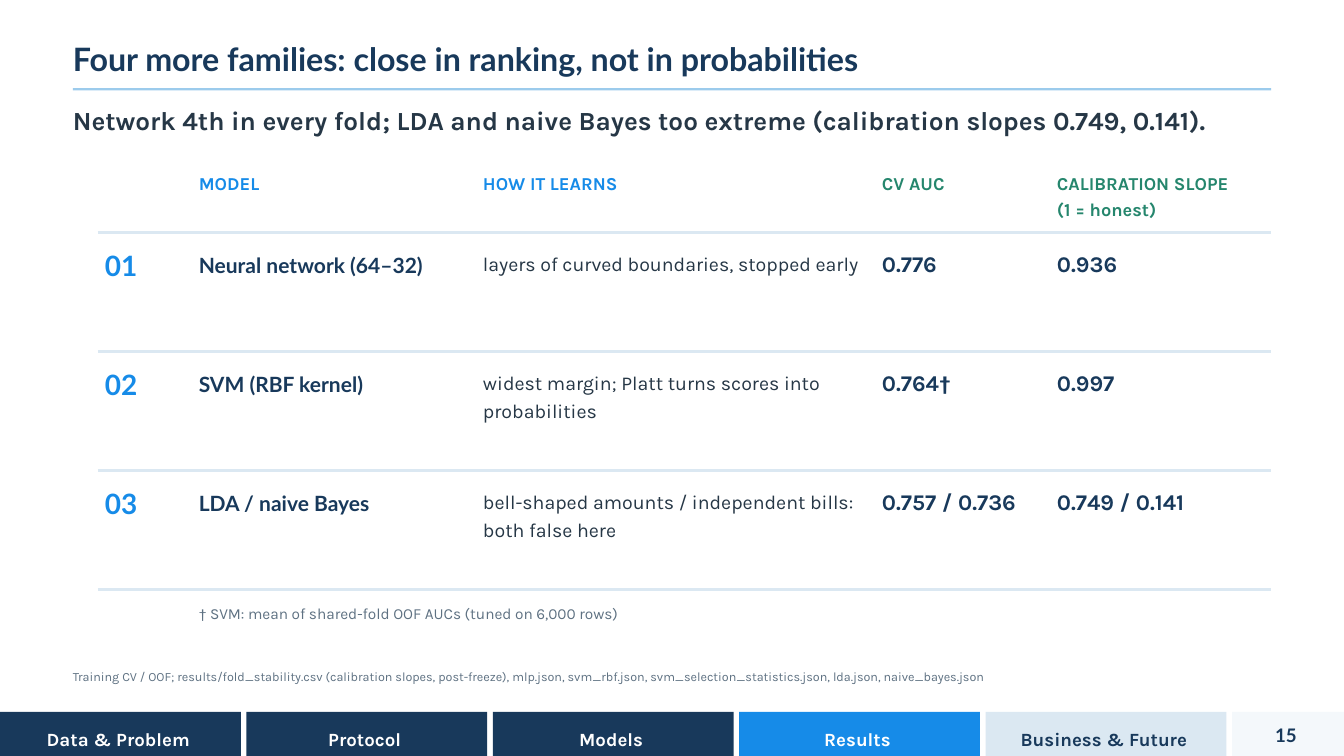
import pptx
import pptx.dml.color
import pptx.enum.shapes
import pptx.enum.text
import pptx.oxml
import pptx.oxml.ns
import pptx.util

RGB = pptx.dml.color.RGBColor
NAVY = RGB(0x18, 0x39, 0x5B)
BLUE = RGB(0x16, 0x8B, 0xE8)
SKY = RGB(0x9C, 0xCB, 0xEC)
PALE = RGB(0xDB, 0xE8, 0xF2)
MIST = RGB(0xF4, 0xF8, 0xFB)
GREEN = RGB(0x25, 0x86, 0x6D)
INK = RGB(0x26, 0x37, 0x46)
GREY = RGB(0x5E, 0x71, 0x82)
WHITE = RGB(0xFF, 0xFF, 0xFF)

LEFT = pptx.enum.text.PP_ALIGN.LEFT
CENTER = pptx.enum.text.PP_ALIGN.CENTER
RULE_PT = 3.4

# heading, heading colour, width, top margin of body text, body format
COLUMNS = [
    ("", BLUE, 134, 15, dict(size=30, font="Lato", color=BLUE, bold=True, line=42)),
    ("MODEL", BLUE, 406, 23, dict(size=22.5, font="Lato", color=NAVY, bold=True, line=31.5)),
    ("HOW IT LEARNS", BLUE, 570, 24, dict(size=21, color=INK, line=29.4)),
    ("CV AUC", GREEN, 250, 20, dict(size=24, color=NAVY, bold=True, line=33.6)),
    ("CALIBRATION SLOPE\n(1 = honest)", GREEN, 316, 20,
     dict(size=24, color=NAVY, bold=True, line=33.6)),
]
ROWS = [
    ("01", "Neural network (64–32)", "layers of curved boundaries, stopped early",
     "0.776", "0.936"),
    ("02", "SVM (RBF kernel)", "widest margin; Platt turns scores into probabilities",
     "0.764†", "0.997"),
    ("03", "LDA / naive Bayes", "bell-shaped amounts / independent bills: both false here",
     "0.757 / 0.736", "0.749 / 0.141"),
]
SECTIONS = [
    ("Data & Problem", NAVY, WHITE),
    ("Protocol", NAVY, WHITE),
    ("Models", NAVY, WHITE),
    ("Results", BLUE, WHITE),
    ("Business & Future", PALE, NAVY),
]


def px(n):
    return pptx.util.Emu(n * 9525)


def write(tf, text, *, size, color, line, font="Karla", bold=False, align=LEFT):
    """Fill a text frame, one paragraph per line of text."""
    for i, part in enumerate(text.split("\n")):
        p = tf.add_paragraph() if i else tf.paragraphs[0]
        p.alignment = align
        p.line_spacing = pptx.util.Pt(line)
        r = p.add_run()
        r.text = part
        r.font.name = font
        r.font.size = pptx.util.Pt(size)
        r.font.bold = bold
        r.font.color.rgb = color


def set_margins(obj, left=0, top=0, right=0, bottom=0):
    obj.margin_left, obj.margin_top = px(left), px(top)
    obj.margin_right, obj.margin_bottom = px(right), px(bottom)


def add_text(s, x, y, w, h, text, **fmt):
    tf = s.shapes.add_textbox(px(x), px(y), px(w), px(h)).text_frame
    tf.word_wrap = True
    set_margins(tf)
    write(tf, text, **fmt)


def add_box(s, x, y, w, h, fill):
    sp = s.shapes.add_shape(pptx.enum.shapes.MSO_SHAPE.RECTANGLE,
                            px(x), px(y), px(w), px(h))
    sp.shadow.inherit = False
    sp.fill.solid()
    sp.fill.fore_color.rgb = fill
    sp.line.fill.background()
    return sp


def set_borders(cell, top, bottom):
    """Draw only the horizontal rules asked for."""
    tc_pr = cell._tc.get_or_add_tcPr()
    ns = pptx.oxml.ns.nsdecls("a")
    for side, shown in (("L", False), ("R", False), ("T", top), ("B", bottom)):
        paint = (f'<a:solidFill><a:srgbClr val="{PALE}"/></a:solidFill>'
                 if shown else "<a:noFill/>")
        width = pptx.util.Pt(RULE_PT) if shown else 0
        tc_pr.append(pptx.oxml.parse_xml(
            f'<a:ln{side} {ns} w="{width}">{paint}</a:ln{side}>'))


def heading(s, x, y, w):
    add_text(s, x, y, w, 51, "Four more families: close in ranking, not in probabilities",
             size=34.5, font="Lato", color=NAVY, bold=True, line=37.3)
    add_box(s, x, y + 64, w, 3, SKY)
    add_text(s, x, y + 85, w, 45,
             "Network 4th in every fold; LDA and naive Bayes too extreme "
             "(calibration slopes 0.749, 0.141).",
             size=28, color=INK, bold=True, line=35)


def model_table(s, x, y, w, head_h, row_h):
    h = head_h + row_h * len(ROWS)
    tbl = s.shapes.add_table(len(ROWS) + 1, len(COLUMNS),
                             px(x), px(y), px(w), px(h)).table
    tbl.first_row = tbl.horz_banding = False
    for i, row in enumerate(tbl.rows):
        row.height = px(row_h if i else head_h)
    for c, (title, title_color, width, top, body) in enumerate(COLUMNS):
        tbl.columns[c].width = px(width)
        head = dict(size=19.5, color=title_color, bold=True, line=27.3)
        for i, text in enumerate([title] + [row[c] for row in ROWS]):
            cell = tbl.cell(i, c)
            set_borders(cell, top=i > 0, bottom=True)
            cell.fill.background()
            set_margins(cell, left=10, top=top if i else 11, right=10)
            if text:
                write(cell.text_frame, text, **(body if i else head))
    note_x = x + COLUMNS[0][2] + 10
    add_text(s, note_x, y + h + 16, x + w - note_x, 30,
             "† SVM: mean of shared-fold OOF AUCs (tuned on 6,000 rows)",
             size=16.5, color=GREY, line=23.1)


def source_line(s, x, y, w):
    add_text(s, x, y, w, 24,
             "Training CV / OOF; results/fold_stability.csv (calibration slopes, "
             "post-freeze), mlp.json, svm_rbf.json, svm_selection_statistics.json, "
             "lda.json, naive_bayes.json",
             size=13.5, color=GREY, line=18.9)


def footer(s, x, y, w, h):
    """Section tabs, with the page number in what is left of the width."""
    tab_w, gap = 344, 8
    page_x = len(SECTIONS) * (tab_w + gap)
    tabs = [(i * (tab_w + gap), tab_w, text, fill, color, "Karla", 17)
            for i, (text, fill, color) in enumerate(SECTIONS)]
    tabs.append((page_x, w - page_x, "15", MIST, NAVY, "Lato", 11))
    for dx, width, text, fill, color, font, top in tabs:
        tf = add_box(s, x + dx, y, width, h, fill).text_frame
        tf.vertical_anchor = pptx.enum.text.MSO_ANCHOR.TOP
        tf.word_wrap = True
        set_margins(tf, top=top, right=6)
        write(tf, text, size=20, font=font, color=color, bold=True, line=28, align=CENTER)


def main():
    prs = pptx.Presentation()
    prs.slide_width, prs.slide_height = px(1920), px(1080)
    s = prs.slides.add_slide(prs.slide_layouts[6])
    heading(s, 104, 62, 1712)
    model_table(s, 140, 232, 1676, 100, 170)
    source_line(s, 104, 952, 1712)
    footer(s, 0, 1017, 1920, 63)
    prs.save("out.pptx")


if __name__ == "__main__":
    main()
